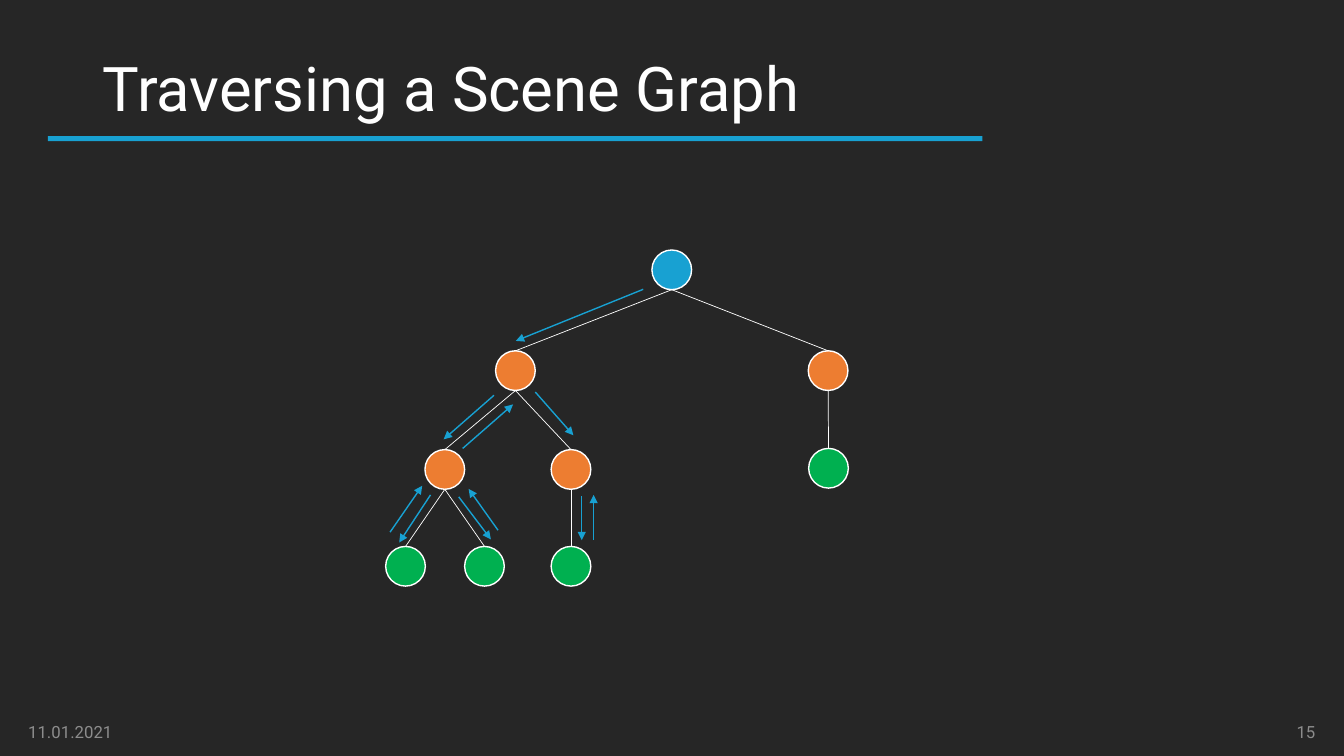
from dataclasses import dataclass

from lxml.etree import SubElement
from pptx import Presentation
from pptx.dml.color import RGBColor as Rgb
from pptx.enum.shapes import MSO_CONNECTOR as Link, MSO_SHAPE as Form
from pptx.enum.text import MSO_ANCHOR as Anchor, PP_ALIGN as Align
from pptx.oxml.ns import qn
from pptx.util import Cm, Pt


@dataclass(frozen=True)
class Theme:
    back: Rgb = Rgb(0x26, 0x26, 0x26)
    white: Rgb = Rgb(0xFF, 0xFF, 0xFF)
    blue: Rgb = Rgb(0x18, 0xA1, 0xD2)
    orange: Rgb = Rgb(0xED, 0x7D, 0x31)
    green: Rgb = Rgb(0x00, 0xB0, 0x50)
    gray: Rgb = Rgb(0x8C, 0x8C, 0x8C)
    font: str = "Roboto"
    head: int = 44
    small: int = 12
    edge: float = 0.5
    rim: float = 1


theme = Theme()
SIZE = 1

NODES = {
    "root": (7.21, 0, theme.blue),
    "left": (3.27, 2.54, theme.orange),
    "right": (11.15, 2.54, theme.orange),
    "outer": (1.49, 5.03, theme.orange),
    "leaf a": (0.5, 7.47, theme.green),
    "leaf b": (2.49, 7.47, theme.green),
    "inner": (4.67, 5.03, theme.orange),
    "leaf c": (4.67, 7.47, theme.green),
    "leaf d": (11.16, 5, theme.green),
}

EDGES = [
    ("root", "left"), ("root", "right"),
    ("left", "outer"), ("left", "inner"),
    ("outer", "leaf a"), ("outer", "leaf b"),
    ("inner", "leaf c"), ("right", "leaf d"),
]

STEPS = [
    (6.49, 0.99, 3.28, 2.29),
    (2.73, 3.66, 1.46, 4.77),
    (1.13, 6.17, 0.34, 7.37),
    (0.11, 7.11, 0.92, 5.94),
    (1.84, 6.22, 2.65, 7.29),
    (2.83, 7.06, 2.09, 6.02),
    (1.94, 5, 3.21, 3.89),
    (3.77, 3.58, 4.73, 4.67),
    (4.94, 6.2, 4.94, 7.31),
    (5.24, 7.31, 5.24, 6.17),
]


def apply(item, values):
    for name, value in values.items():
        setattr(item, name, value)


def write(shape, text, size, color, align=Align.LEFT):
    frame = shape.text_frame
    apply(frame, {"text": text, "word_wrap": True, "vertical_anchor": Anchor.MIDDLE})
    para = frame.paragraphs[0]
    para.alignment = align
    font = para.runs[0].font
    apply(font, {"name": theme.font, "size": Pt(size)})
    font.color.rgb = color
    return para


def draw(slide, form, box, color):
    shape = slide.shapes.add_shape(form, *map(Cm, box))
    shape.shadow.inherit = False
    shape.fill.solid()
    shape.fill.fore_color.rgb = color
    shape.line.fill.background()
    return shape


def join(slide, ends, color, width):
    link = slide.shapes.add_connector(Link.STRAIGHT, *map(Cm, ends))
    link.line.color.rgb = color
    link.line.width = Pt(width)
    SubElement(link._element.spPr, qn("a:effectLst"))
    return link


def header(slide, left, top, width, height):
    title = slide.shapes.title
    apply(title, {"left": Cm(left), "top": Cm(top),
                  "width": Cm(width), "height": Cm(height)})
    para = write(title, "Traversing a Scene Graph", theme.head, theme.white)
    para.line_spacing = 0.9
    draw(slide, Form.RECTANGLE, (left - 1.12, top + 2.97, 23.55, 0.13), theme.blue)


def footer(slide, left, top, width, height):
    span = 7.62
    parts = [(left, "11.01.2021", Align.LEFT),
             (left + width - span, "15", Align.RIGHT)]
    for x, text, align in parts:
        box = slide.shapes.add_textbox(Cm(x), Cm(top), Cm(span), Cm(height))
        write(box, text, theme.small, theme.gray, align)


def tree(slide, left, top):
    for x, y, color in NODES.values():
        node = draw(slide, Form.OVAL,
                    (left + x - SIZE / 2, top + y, SIZE, SIZE), color)
        node.line.color.rgb = theme.white
        node.line.width = Pt(theme.rim)
    for start, end in EDGES:
        x1, y1, _ = NODES[start]
        x2, y2, _ = NODES[end]
        join(slide, (left + x1, top + y1 + SIZE, left + x2, top + y2),
             theme.white, theme.edge)
    for x1, y1, x2, y2 in STEPS:
        step = join(slide, (left + x1, top + y1, left + x2, top + y2),
                    theme.blue, theme.rim)
        SubElement(step.line._get_or_add_ln(), qn("a:tailEnd"), type="triangle")


def main():
    deck = Presentation()
    apply(deck, {"slide_width": Cm(33.87), "slide_height": Cm(19.05)})
    slide = deck.slides.add_slide(deck.slide_layouts[5])
    fill = slide.background.fill
    fill.solid()
    fill.fore_color.rgb = theme.back
    header(slide, 2.33, 0.46, 29.21, 3.68)
    footer(slide, 0.46, 17.93, 32.94, 1.02)
    tree(slide, 9.72, 6.3)
    deck.save("out.pptx")


if __name__ == "__main__":
    main()
